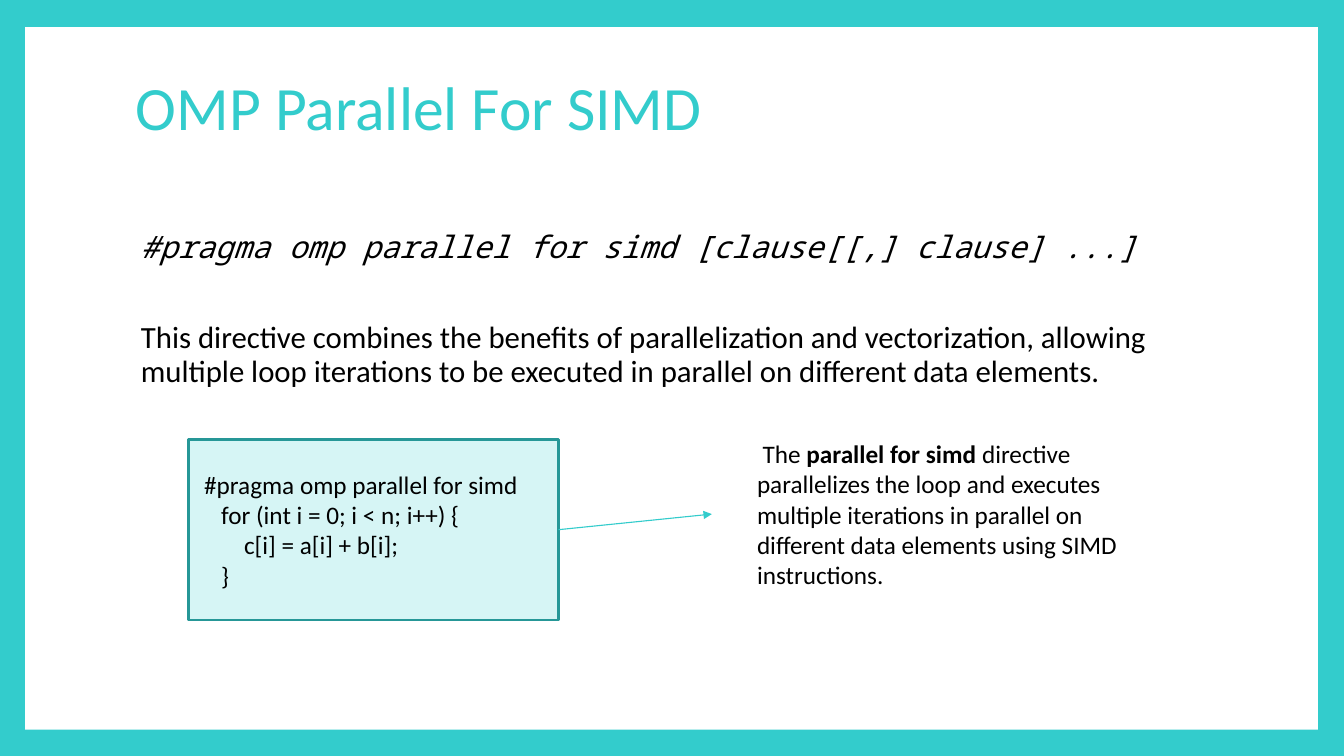
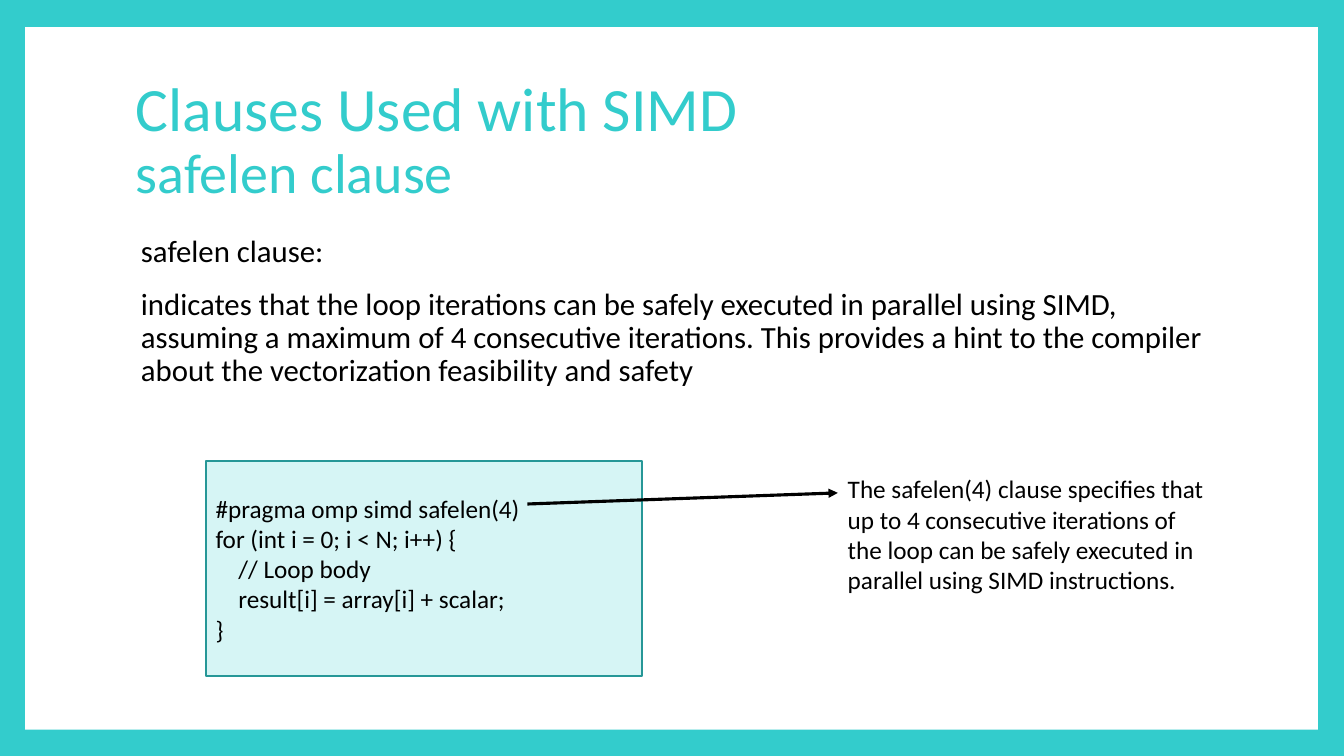
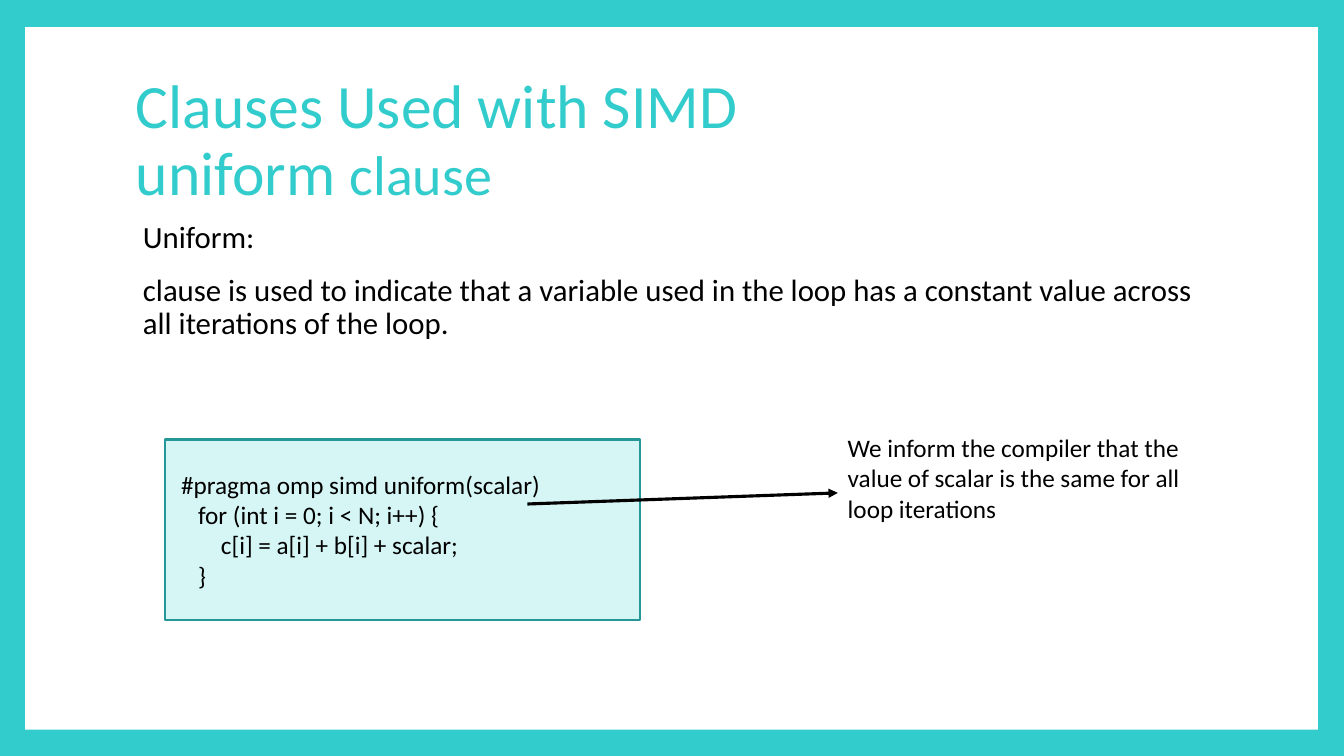
"""Build three slides on OpenMP SIMD directives and their clauses."""
import dataclasses

import lxml.etree
import pptx
import pptx.dml.color
import pptx.enum.shapes
import pptx.enum.text
import pptx.oxml.ns
import pptx.util

Inches = pptx.util.Inches
Pt = pptx.util.Pt
RGB = pptx.dml.color.RGBColor
Anchor = pptx.enum.text.MSO_ANCHOR
qn = pptx.oxml.ns.qn


@dataclasses.dataclass(frozen=True)
class Theme:
    accent: RGB = RGB(0x33, 0xCC, 0xCC)
    accent_dark: RGB = RGB(0x26, 0x97, 0x97)
    accent_pale: RGB = RGB(0xD6, 0xF5, 0xF5)
    paper: RGB = RGB(0xFF, 0xFF, 0xFF)
    ink: RGB = RGB(0, 0, 0)
    font: str = "Calibri"
    mono: str = "Noto Sans Mono"
    title_size: int = 44
    subtitle_size: int = 40
    body_size: int = 22
    small_size: int = 18
    tight: float = 0.9
    space_width: float = 4.07


class Deck:
    def __init__(self, theme):
        self.theme = theme
        self.presentation = pptx.Presentation()
        self.presentation.slide_width = Inches(13.33)
        self.presentation.slide_height = Inches(7.5)
        self.slide = None

    def new_slide(self):
        self.slide = self.presentation.slides.add_slide(self.presentation.slide_layouts[6])
        background = self.slide.background.fill
        background.solid()
        background.fore_color.rgb = self.theme.accent
        self.rectangle(0.25, 0.27, 12.82, 6.97, self.theme.paper)

    def rectangle(self, left, top, width, height, fill, line=None):
        shape = self.slide.shapes.add_shape(
            pptx.enum.shapes.MSO_SHAPE.RECTANGLE,
            Inches(left), Inches(top), Inches(width), Inches(height))
        shape.shadow.inherit = False
        shape.fill.solid()
        shape.fill.fore_color.rgb = fill
        if line is None:
            shape.line.fill.background()
        else:
            shape.line.color.rgb = line
            shape.line.width = Pt(1.5)
        return shape

    def text_box(self, left, top, width, height, anchor=Anchor.TOP):
        box = self.slide.shapes.add_textbox(
            Inches(left), Inches(top), Inches(width), Inches(height))
        box.text_frame.word_wrap = True
        box.text_frame.vertical_anchor = anchor
        return box.text_frame

    def paragraph(self, frame, runs, size, color=None, indent=0, **formats):
        paragraph = frame.paragraphs[0]
        if paragraph.runs:
            paragraph = frame.add_paragraph()
        paragraph.alignment = pptx.enum.text.PP_ALIGN.LEFT
        for name, value in formats.items():
            setattr(paragraph, name, value)
        if indent:
            paragraph._p.get_or_add_pPr().set("marL", str(int(indent)))
        for text, overrides in runs:
            if text == "\n":
                paragraph.add_line_break()
                continue
            run = paragraph.add_run()
            run.text = text
            run.font.color.rgb = color or self.theme.ink
            font = {"name": self.theme.font, "size": Pt(size), **overrides}
            for name, value in font.items():
                setattr(run.font, name, value)

    def title(self, runs, top=0.67, anchor=Anchor.MIDDLE):
        frame = self.text_box(1.25, top, 10.8, 1.48, anchor)
        self.paragraph(frame, runs, self.theme.title_size, self.theme.accent,
                       line_spacing=self.theme.tight)

    def body(self, left, top, paragraphs):
        frame = self.text_box(left, top, 10.8, 4.42)
        for text, space_before, overrides in paragraphs:
            self.paragraph(frame, [(text, overrides)], self.theme.body_size,
                           indent=Inches(0.05), line_spacing=self.theme.tight,
                           space_before=Pt(space_before))

    def code(self, left, top, width, height, listing):
        shape = self.rectangle(left, top, width, height,
                               self.theme.accent_pale, self.theme.accent_dark)
        shape.text_frame.vertical_anchor = Anchor.MIDDLE
        for line in listing:
            text = line.lstrip()
            spaces = len(line) - len(text)
            self.paragraph(shape.text_frame, [(text, {})], self.theme.small_size,
                           indent=Pt(spaces * self.theme.space_width))
        return shape

    def note(self, left, top, width, height, runs):
        frame = self.text_box(left, top, width, height)
        self.paragraph(frame, runs, self.theme.small_size)

    def arrow(self, start, end, color, width, source=None):
        connector = self.slide.shapes.add_connector(
            pptx.enum.shapes.MSO_CONNECTOR.STRAIGHT,
            *(Inches(value) for value in start + end))
        if source is not None:
            connector.begin_connect(source, 3)
        connector.line.color.rgb = color
        connector.line.width = Pt(width)
        properties = connector._element.spPr
        head = lxml.etree.SubElement(properties.find(qn("a:ln")), qn("a:tailEnd"))
        head.set("type", "triangle")
        lxml.etree.SubElement(properties, qn("a:effectLst"))

    def clause_slide(self, title, body, code, note):
        self.new_slide()
        self.title([("Clauses Used with SIMD", {}), ("\n", {})] + title)
        left, top, heading, description = body
        self.body(left, top, [(heading, 14, {}), (description, 14, {})])
        self.code(*code)
        self.arrow((5.23, 5), (8.31, 4.89), self.theme.ink, 2.25)
        top, height, text = note
        self.note(8.31, top, 3.77, height, [(text, {})])


def main():
    theme = Theme()
    deck = Deck(theme)
    subtitle = {"size": Pt(theme.subtitle_size)}

    deck.new_slide()
    deck.title([("OMP Parallel For SIMD", {})], 0.72, Anchor.TOP)
    deck.body(1.25, 2.25, [
        ("#pragma omp parallel for simd [clause[[,] clause] ...]", 14,
         {"name": theme.mono, "italic": True}),
        ("This directive combines the benefits of parallelization and vectorization, "
         "allowing multiple loop iterations to be executed in parallel on different "
         "data elements.", 41, {}),
    ])
    loop = deck.code(1.87, 4.36, 3.67, 1.79, [
        " #pragma omp parallel for simd",
        "    for (int i = 0; i < n; i++) {",
        "        c[i] = a[i] + b[i];",
        "    }",
    ])
    deck.arrow((5.54, 5.25), (7.06, 5.1), theme.accent, 0.79, loop)
    deck.note(7.41, 4.3, 4.05, 1.62, [
        (" The ", {}),
        ("parallel for simd ", {"bold": True}),
        ("directive parallelizes the loop and executes multiple iterations in parallel "
         "on different data elements using SIMD instructions.", {}),
    ])

    deck.clause_slide(
        title=[("safelen clause", subtitle)],
        body=(1.25, 2.29, "safelen clause:",
              "indicates that the loop iterations can be safely executed in parallel "
              "using SIMD, assuming a maximum of 4 consecutive iterations. This provides "
              "a hint to the compiler about the vectorization feasibility and safety"),
        code=(2.04, 4.57, 4.33, 2.14, [
            "#pragma omp simd safelen(4)",
            "for (int i = 0; i < N; i++) {",
            "    // Loop body",
            "    result[i] = array[i] + scalar;",
            "}",
        ]),
        note=(4.65, 1.31, "The safelen(4) clause specifies that up to 4 consecutive "
              "iterations of the loop can be safely executed in parallel using SIMD "
              "instructions."))

    deck.clause_slide(
        title=[("uniform ", {}), ("clause", subtitle)],
        body=(1.27, 2.15, "Uniform:",
              "clause is used to indicate that a variable used in the loop has a "
              "constant value across all iterations of the loop."),
        code=(1.64, 4.36, 4.71, 1.79, [
            " #pragma omp simd uniform(scalar)",
            "    for (int i = 0; i < N; i++) {",
            "        c[i] = a[i] + b[i] + scalar;",
            "    }",
        ]),
        note=(4.24, 1.01, "We inform the compiler that the value of scalar is the same "
              "for all loop iterations"))

    deck.presentation.save("out.pptx")


if __name__ == "__main__":
    main()
